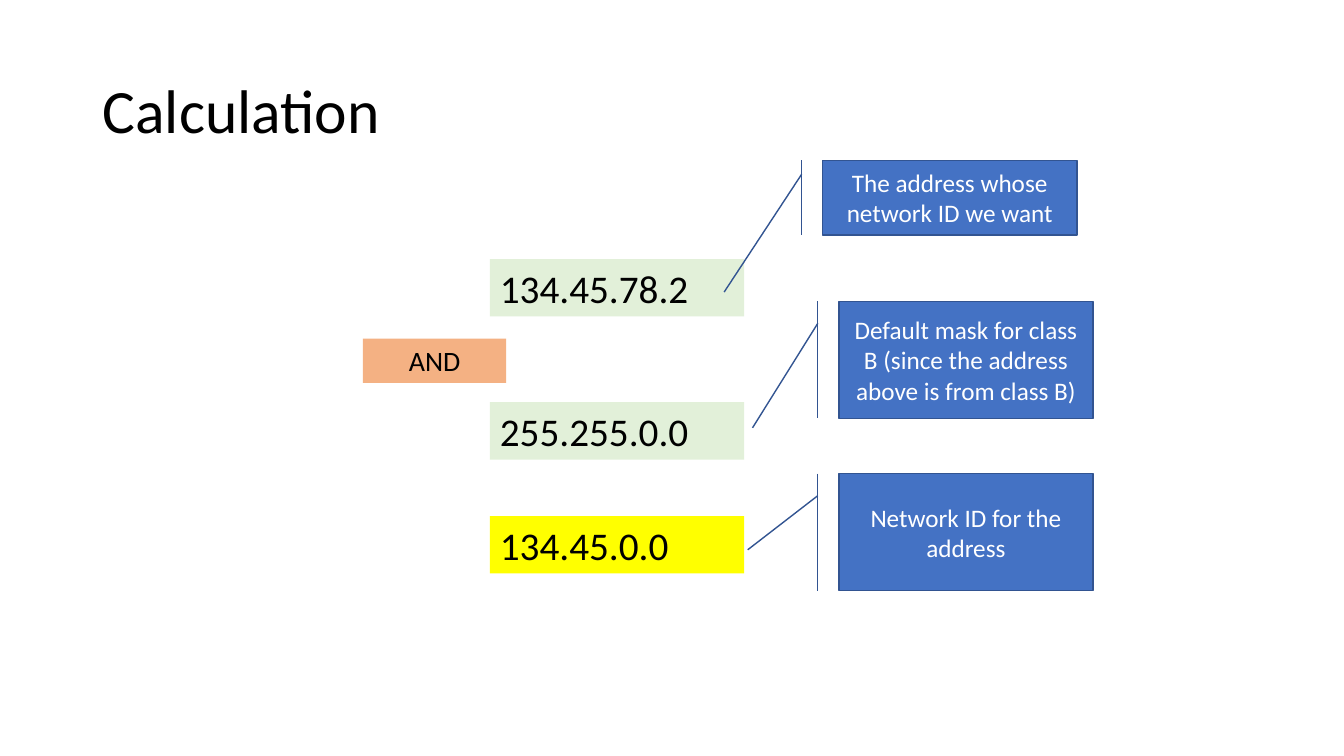
"""Build a slide that works out a network ID with a class B mask."""
from dataclasses import dataclass

from pptx import Presentation
from pptx.dml.color import RGBColor
from pptx.enum.shapes import MSO_SHAPE
from pptx.enum.text import MSO_ANCHOR, PP_ALIGN
from pptx.shapes.autoshape import Shape
from pptx.slide import Slide
from pptx.util import Inches, Pt

RECT = MSO_SHAPE.RECTANGLE
CALLOUT = MSO_SHAPE.LINE_CALLOUT_1_BORDER_AND_ACCENT_BAR
TOP, MIDDLE = MSO_ANCHOR.TOP, MSO_ANCHOR.MIDDLE
LEFT, CENTER = PP_ALIGN.LEFT, PP_ALIGN.CENTER


@dataclass(frozen=True)
class Theme:
    font: str = "Calibri"
    black: str = "000000"
    white: str = "FFFFFF"
    green: str = "E2F0D9"
    orange: str = "F4B183"
    yellow: str = "FFFF00"
    blue: str = "4472C4"
    edge: str = "325491"
    head: int = 44
    value: int = 28
    label: int = 20
    note: int = 18


@dataclass(frozen=True)
class Box:
    text: str
    left: float
    top: float
    width: float
    height: float
    fill: str
    size: int
    align: PP_ALIGN = LEFT


@dataclass(frozen=True)
class Note:
    text: str
    left: float
    top: float
    height: float
    tip_y: float
    tip_x: float


THEME = Theme()
WIDTH = 2.52


def value(text: str, top: float, fill: str) -> Box:
    return Box(text, 4.86, top, WIDTH, 0.57, fill, THEME.value)


BOXES = (
    value("134.45.78.2", 2.57, THEME.green),
    value("255.255.0.0", 3.99, THEME.green),
    Box("AND", 3.6, 3.36, 1.42, 0.44, THEME.orange, THEME.label, CENTER),
    value("134.45.0.0", 5.12, THEME.yellow),
)
NOTES = (
    Note("The address whose network ID we want", 8.16, 1.59, 0.74, 1.767, -0.388),
    Note("Default mask for class B (since the address above is from class B)",
         8.32, 2.99, 1.16, 1.082, -0.34),
    Note("Network ID for the address", 8.32, 4.7, 1.16, 0.651, -0.359),
)


def write(shape: Shape, text: str, size: int, color: str,
          align: PP_ALIGN, anchor: MSO_ANCHOR) -> None:
    frame = shape.text_frame
    frame.word_wrap = True
    frame.vertical_anchor = anchor
    para = frame.paragraphs[0]
    para.alignment = align
    run = para.add_run()
    run.text = text
    run.font.name = THEME.font
    run.font.size = Pt(size)
    run.font.color.rgb = RGBColor.from_string(color)


def add_block(slide: Slide, kind: MSO_SHAPE, item: Box | Note,
              width: float, fill: str) -> Shape:
    shape = slide.shapes.add_shape(kind, Inches(item.left), Inches(item.top),
                                   Inches(width), Inches(item.height))
    shape.shadow.inherit = False
    shape.fill.solid()
    shape.fill.fore_color.rgb = RGBColor.from_string(fill)
    return shape


def add_title(slide: Slide, text: str) -> None:
    title = slide.shapes.add_textbox(Inches(0.92), Inches(0.4), Inches(11.5), Inches(1.45))
    write(title, text, THEME.head, THEME.black, LEFT, MIDDLE)
    title.text_frame.paragraphs[0].line_spacing = 0.9


def add_box(slide: Slide, box: Box) -> None:
    shape = add_block(slide, RECT, box, box.width, box.fill)
    shape.line.fill.background()
    write(shape, box.text, box.size, THEME.black, box.align, TOP)


def add_note(slide: Slide, note: Note) -> None:
    shape = add_block(slide, CALLOUT, note, WIDTH, THEME.blue)
    for index, ratio in enumerate((0.188, -0.083, note.tip_y, note.tip_x)):
        shape.adjustments[index] = ratio
    shape.line.color.rgb = RGBColor.from_string(THEME.edge)
    shape.line.width = Pt(1)
    write(shape, note.text, THEME.note, THEME.white, CENTER, MIDDLE)


def main() -> None:
    deck = Presentation()
    deck.slide_width, deck.slide_height = Inches(13.33), Inches(7.5)
    slide = deck.slides.add_slide(deck.slide_layouts[6])
    add_title(slide, "Calculation")
    for box in BOXES:
        add_box(slide, box)
    for note in NOTES:
        add_note(slide, note)
    deck.save("out.pptx")


if __name__ == "__main__":
    main()
